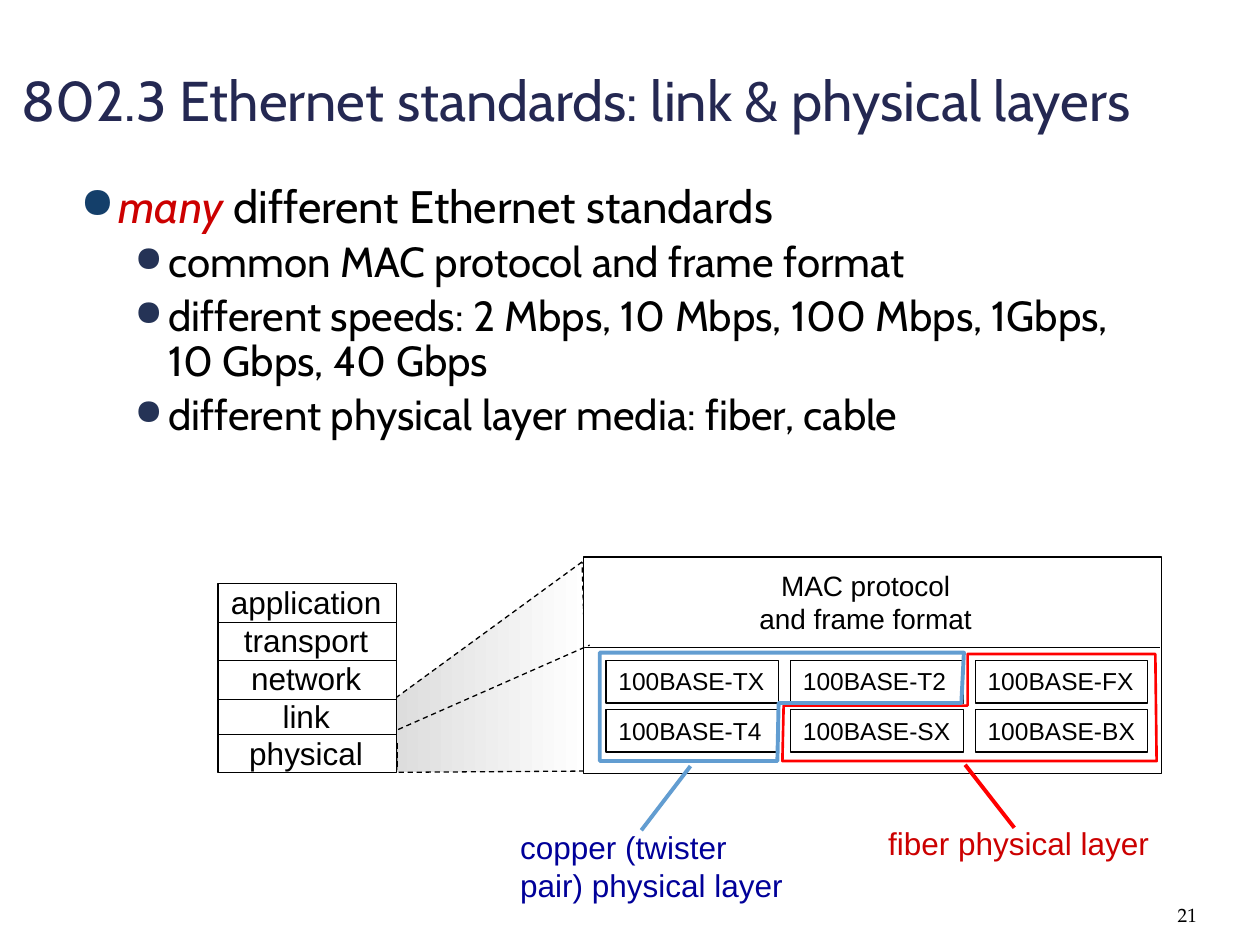
from typing import NamedTuple

from lxml import etree
from pptx import Presentation
from pptx.dml.color import RGBColor
from pptx.enum.dml import MSO_LINE
from pptx.enum.shapes import MSO_CONNECTOR, MSO_SHAPE
from pptx.enum.text import MSO_ANCHOR, MSO_AUTO_SIZE, PP_ALIGN
from pptx.oxml.ns import qn
from pptx.util import Inches, Pt

DASH = MSO_LINE.DASH
STRAIGHT = MSO_CONNECTOR.STRAIGHT
RECTANGLE = MSO_SHAPE.RECTANGLE
TOP, BOTTOM = MSO_ANCHOR.TOP, MSO_ANCHOR.BOTTOM
GROW = MSO_AUTO_SIZE.SHAPE_TO_FIT_TEXT
LEFT, CENTER, RIGHT = PP_ALIGN.LEFT, PP_ALIGN.CENTER, PP_ALIGN.RIGHT

COLORS = {
    "title": "242852", "black": "000000", "white": "FFFFFF", "shade": "DDDDDD",
    "emphasis": "CC0000", "fiber": "FF0000", "copper": "629DD1",
    "copper_label": "000099", "bullet": "143F6A", "sub_bullet": "253356",
}


class Box(NamedTuple):
    left: float
    top: float
    width: float
    height: float


class Point(NamedTuple):
    x: float
    y: float


class Label(NamedTuple):
    box: Box
    lines: list[str]
    size: float
    color: str = "black"
    font: str = "Arial"
    align: PP_ALIGN = LEFT
    frame: dict = {"auto_size": GROW, "word_wrap": False}


class Stroke(NamedTuple):
    points: list[Point]
    color: str = "black"
    width: float = 0.75
    dashed: bool = False


class Bullet(NamedTuple):
    runs: list[tuple[str, str, bool]]
    level: int = 0


class BulletStyle(NamedTuple):
    size: float
    indent: float
    hanging: float
    color: str
    scale: int


BULLET_STYLES = [
    BulletStyle(26, 0.3, 0.3, "bullet", 95),
    BulletStyle(24, 0.7, 0.27, "sub_bullet", 85),
]


def rgb(name: str) -> RGBColor:
    return RGBColor.from_string(COLORS[name])


def set_attributes(target, values: dict) -> None:
    for name, value in values.items():
        setattr(target, name, value)


def add_run(paragraph, text: str, size: float, color: str, font: str, italic: bool = False) -> None:
    run = paragraph.add_run()
    run.text = text
    set_attributes(run.font, {"name": font, "size": Pt(size), "italic": italic})
    run.font.color.rgb = rgb(color)


def write_label(shape, label: Label) -> None:
    frame = shape.text_frame
    set_attributes(frame, {"vertical_anchor": TOP} | label.frame)
    for index, line in enumerate(label.lines):
        paragraph = frame.add_paragraph() if index else frame.paragraphs[0]
        paragraph.alignment = label.align
        add_run(paragraph, line, label.size, label.color, label.font)


def add_label(slide, label: Label) -> None:
    write_label(slide.shapes.add_textbox(*map(Inches, label.box)), label)


def style_line(shape, stroke: Stroke) -> None:
    shape.line.color.rgb = rgb(stroke.color)
    shape.line.width = Pt(stroke.width)
    if stroke.dashed:
        shape.line.dash_style = DASH


def add_rectangle(slide, box: Box, filled: bool = True):
    shape = slide.shapes.add_shape(RECTANGLE, *map(Inches, box))
    shape.shadow.inherit = False
    if filled:
        shape.fill.solid()
        shape.fill.fore_color.rgb = rgb("white")
    else:
        shape.fill.background()
    style_line(shape, Stroke([]))
    return shape


def add_line(slide, stroke: Stroke) -> None:
    start, end = stroke.points
    line = slide.shapes.add_connector(STRAIGHT, *map(Inches, (*start, *end)))
    etree.SubElement(line._element.spPr, qn("a:effectLst"))
    style_line(line, stroke)


def add_outline(slide, stroke: Stroke, close: bool = True):
    start, *rest = [(Inches(x), Inches(y)) for x, y in stroke.points]
    builder = slide.shapes.build_freeform(*start)
    builder.add_line_segments(rest, close=close)
    shape = builder.convert_to_shape()
    shape.shadow.inherit = False
    shape.fill.background()
    style_line(shape, stroke)
    return shape


def add_bullets(slide, box: Box, bullets: list[Bullet]) -> None:
    frame = slide.shapes.add_textbox(*map(Inches, box)).text_frame
    frame.word_wrap = True
    for index, bullet in enumerate(bullets):
        style = BULLET_STYLES[bullet.level]
        paragraph = frame.add_paragraph() if index else frame.paragraphs[0]
        set_attributes(paragraph, {
            "level": bullet.level, "line_spacing": 0.9, "space_before": Pt(style.size * 0.2),
        })
        properties = paragraph._p.get_or_add_pPr()
        properties.set("marL", str(Inches(style.indent)))
        properties.set("indent", str(-Inches(style.hanging)))
        bullet_color = etree.SubElement(properties, qn("a:buClr"))
        etree.SubElement(bullet_color, qn("a:srgbClr"), val=COLORS[style.color])
        etree.SubElement(properties, qn("a:buSzPct"), val=str(style.scale * 1000))
        etree.SubElement(properties, qn("a:buChar"), char="●")
        for text, color, italic in bullet.runs:
            add_run(paragraph, text, style.size, color, "Cabin", italic)


def add_layer_stack(slide) -> None:
    add_rectangle(slide, Box(1.73, 4.63, 1.42, 1.5))
    layers = ["application", "transport", "network", "link", "physical"]
    add_label(slide, Label(Box(1.73, 4.58, 1.4, 1.6), layers, 18, align=CENTER))
    for y in (4.94, 5.24, 5.55, 5.83):
        add_line(slide, Stroke([Point(1.73, y), Point(3.15, y)]))
    for x in (1.73, 3.15):
        add_line(slide, Stroke([Point(x, 5.9), Point(x, 6.09)], dashed=True))


def add_standards(slide) -> None:
    add_rectangle(slide, Box(4.63, 4.42, 4.59, 1.72))
    add_line(slide, Stroke([Point(4.64, 5.14), Point(9.21, 5.14)]))
    add_label(slide, Label(Box(5.92, 4.46, 1.9, 0.64), ["MAC protocol", "and frame format"], 16, align=CENTER))
    add_outline(slide, Stroke([Point(3.16, 5.79), Point(4.68, 5.12)], dashed=True), close=False)
    rows = [(5.24, ("TX", "T2", "FX")), (5.63, ("T4", "SX", "BX"))]
    for top, media in rows:
        for column, medium in enumerate(media):
            box = Box(4.81 + 1.465 * column, top, 1.37, 0.34)
            write_label(add_rectangle(slide, box, filled=False), Label(box, [f"100BASE-{medium}"], 14))


def main() -> None:
    presentation = Presentation()
    set_attributes(presentation, {"slide_width": Inches(10), "slide_height": Inches(7.5)})
    slide = presentation.slides.add_slide(presentation.slide_layouts[6])

    no_margins = {f"margin_{side}": 0 for side in ("left", "top", "right", "bottom")}
    anchored = no_margins | {"vertical_anchor": BOTTOM, "word_wrap": True}
    add_label(slide, Label(
        Box(0.17, 0.1, 9.53, 0.95), ["802.3 Ethernet standards: link & physical layers"],
        32, "title", "Cabin", frame=anchored))
    add_bullets(slide, Box(0.54, 1.41, 8.5, 2.3), [
        Bullet([("many ", "emphasis", True), ("different Ethernet standards", "black", False)]),
        *(Bullet([(text, "black", False)], 1) for text in (
            "common MAC protocol and frame format",
            "different speeds: 2 Mbps, 10 Mbps, 100 Mbps, 1Gbps, 10 Gbps, 40 Gbps",
            "different physical layer media: fiber, cable",
        )),
    ])

    zoom = add_outline(slide, Stroke(
        [Point(4.62, 4.46), Point(3.14, 5.54), Point(3.15, 6.13), Point(4.67, 6.12)], dashed=True))
    zoom.fill.gradient()
    zoom.fill.gradient_angle = 0
    for stop, color, position in zip(zoom.fill.gradient_stops, ("shade", "white"), (0, 1)):
        stop.color.rgb = rgb(color)
        stop.position = position

    add_layer_stack(slide)
    add_standards(slide)

    add_outline(slide, Stroke([
        Point(7.68, 5.19), Point(7.68, 5.6), Point(6.22, 5.6),
        Point(6.21, 6.04), Point(9.18, 6.04), Point(9.17, 5.19)], "fiber", 1.5))
    add_line(slide, Stroke([Point(7.66, 6.07), Point(8.05, 6.57)], "fiber", 2.25))
    add_label(slide, Label(Box(6.95, 6.49, 2.29, 0.4), ["fiber physical layer"], 18, "emphasis"))
    add_outline(slide, Stroke([
        Point(7.65, 5.18), Point(7.63, 5.58), Point(6.18, 5.58),
        Point(6.17, 6.04), Point(4.76, 6.04), Point(4.76, 5.18)], "copper", 2.25))
    add_line(slide, Stroke([Point(5.48, 6.08), Point(5.09, 6.59)], "copper", 2.25))
    add_label(slide, Label(
        Box(4.03, 6.52, 2.31, 0.71), ["copper (twister", "pair) physical layer"], 18, "copper_label"))
    add_label(slide, Label(
        Box(8.67, 6.95, 0.83, 0.4), ["21"], 11, font="TeX Gyre Pagella", align=RIGHT, frame=anchored))
    presentation.save("out.pptx")


if __name__ == "__main__":
    main()
